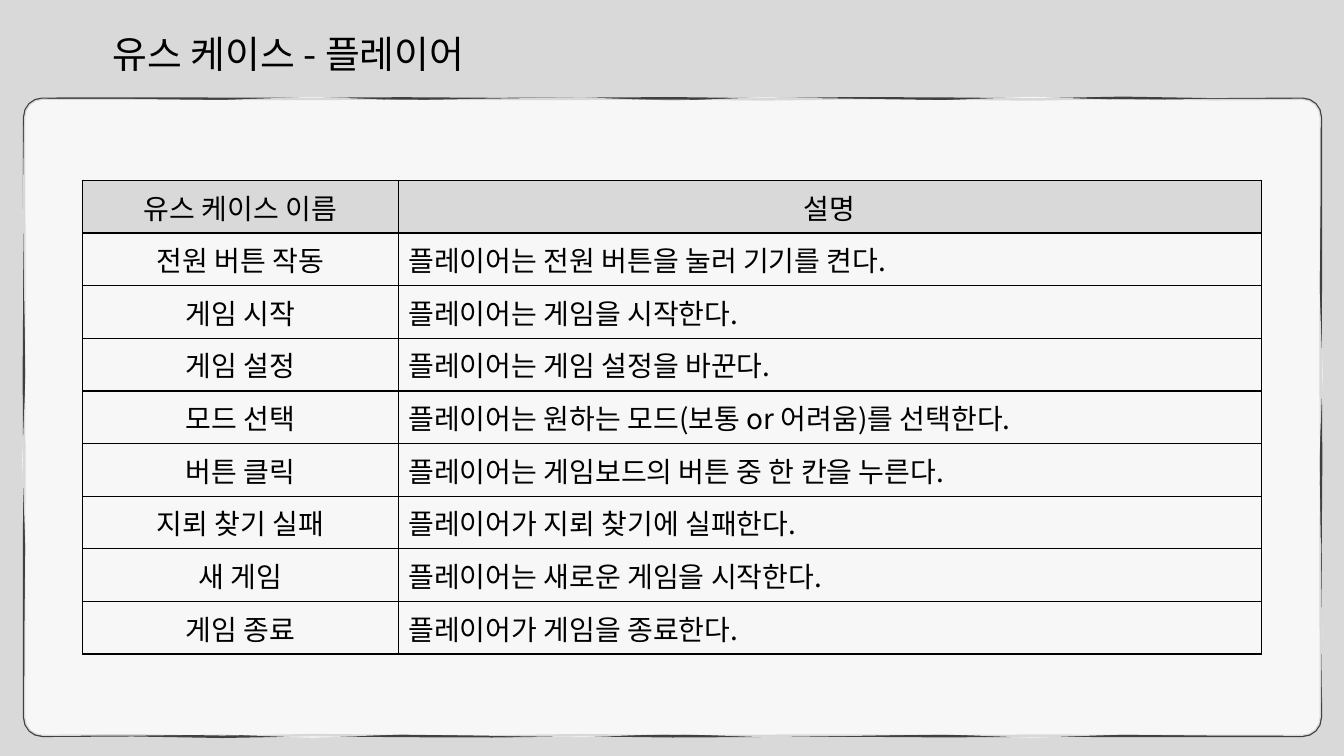
import math

from lxml import etree
from pptx import Presentation
from pptx.dml.color import RGBColor
from pptx.enum.text import MSO_ANCHOR, MSO_AUTO_SIZE, PP_ALIGN
from pptx.oxml.ns import qn
from pptx.util import Inches, Pt

CENTER = PP_ALIGN.CENTER
LEFT = PP_ALIGN.LEFT
MIDDLE = MSO_ANCHOR.MIDDLE
GROW = MSO_AUTO_SIZE.SHAPE_TO_FIT_TEXT
GRAY = RGBColor(0xD9, 0xD9, 0xD9)
DARK = RGBColor(0x40, 0x40, 0x40)
WHITE = RGBColor(0xFF, 0xFF, 0xFF)
BLACK = RGBColor(0x00, 0x00, 0x00)
FONT = "Noto Sans CJK KR"

PANEL_LEFT, PANEL_TOP, PANEL_RIGHT, PANEL_BOTTOM = 0.24, 0.98, 13.1, 7.3
CORNER_RADIUS = 0.18
CORNER_STEPS = 4
WAVE_SPACING = 0.9
WOBBLE = 0.01
COLUMN_WIDTHS = (3.13, 8.56)
ROW_HEIGHT = 4.7 / 9
USE_CASES = (
    ("유스 케이스 이름", "설명"),
    ("전원 버튼 작동", "플레이어는 전원 버튼을 눌러 기기를 켠다."),
    ("게임 시작", "플레이어는 게임을 시작한다."),
    ("게임 설정", "플레이어는 게임 설정을 바꾼다."),
    ("모드 선택", "플레이어는 원하는 모드(보통 or 어려움)를 선택한다."),
    ("버튼 클릭", "플레이어는 게임보드의 버튼 중 한 칸을 누른다."),
    ("지뢰 찾기 실패", "플레이어가 지뢰 찾기에 실패한다."),
    ("새 게임", "플레이어는 새로운 게임을 시작한다."),
    ("게임 종료", "플레이어가 게임을 종료한다."),
)


def add_run(paragraph, text, size):
    run = paragraph.add_run()
    run.text = text
    run.font.size = Pt(size)
    run.font.name = FONT
    run.font.color.rgb = BLACK
    properties = run.font._element
    properties.set("kern", "0")
    etree.SubElement(properties, qn("a:ea")).set("typeface", FONT)


def sketch_points(phase):
    left, right = PANEL_LEFT + CORNER_RADIUS, PANEL_RIGHT - CORNER_RADIUS
    top, bottom = PANEL_TOP + CORNER_RADIUS, PANEL_BOTTOM - CORNER_RADIUS
    centers = [(left, top), (right, top), (right, bottom), (left, bottom)]
    points = []
    for corner, (x, y) in enumerate(centers):
        for step in range(CORNER_STEPS + 1):
            angle = math.pi * (1 + corner / 2 + step / CORNER_STEPS / 2)
            points.append((x + CORNER_RADIUS * math.cos(angle),
                           y + CORNER_RADIUS * math.sin(angle)))
        next_x, next_y = centers[(corner + 1) % len(centers)]
        count = round(math.hypot(next_x - x, next_y - y) / WAVE_SPACING)
        for step in range(1, count):
            share = step / count
            wave = math.sin(2.3 * step + phase) + math.sin(3.9 * step + 2 * phase)
            radius = CORNER_RADIUS + WOBBLE * wave
            points.append((x + share * (next_x - x) + radius * math.cos(angle),
                           y + share * (next_y - y) + radius * math.sin(angle)))
    return points


def add_sketch(slide, phase):
    points = [(Inches(x), Inches(y)) for x, y in sketch_points(phase)]
    builder = slide.shapes.build_freeform(*points[0])
    builder.add_line_segments(points[1:], close=True)
    shape = builder.convert_to_shape()
    shape.shadow.inherit = False
    return shape


def add_panel(slide):
    outline = add_sketch(slide, 0)
    outline.fill.background()
    outline.line.color.rgb = DARK
    outline.line.width = Pt(1.75)
    surface = add_sketch(slide, 1.3)
    surface.fill.solid()
    surface.fill.fore_color.rgb = WHITE
    color = surface.fill._xPr.find(qn("a:solidFill"))[0]
    etree.SubElement(color, qn("a:alpha")).set("val", "80000")
    surface.line.fill.background()


def add_title(slide, text):
    box = slide.shapes.add_textbox(Inches(1.02), Inches(0.26), Inches(4.5), Inches(0.56))
    box.text_frame.word_wrap = True
    box.text_frame.auto_size = GROW
    add_run(box.text_frame.paragraphs[0], text, 27)


def add_borders(cell):
    properties = cell._tc.get_or_add_tcPr()
    for side in ("a:lnL", "a:lnR", "a:lnT", "a:lnB"):
        border = etree.SubElement(properties, qn(side), w=str(Pt(1)))
        fill = etree.SubElement(border, qn("a:solidFill"))
        etree.SubElement(fill, qn("a:srgbClr"), val=str(BLACK))


def fill_cell(cell, text, alignment, is_header):
    add_borders(cell)
    if is_header:
        cell.fill.solid()
        cell.fill.fore_color.rgb = GRAY
    else:
        cell.fill.background()
    cell.vertical_anchor = MIDDLE
    paragraph = cell.text_frame.paragraphs[0]
    paragraph.alignment = alignment
    add_run(paragraph, text, 20)


def add_use_case_table(slide):
    frame = slide.shapes.add_table(
        len(USE_CASES), len(COLUMN_WIDTHS), Inches(0.82), Inches(1.79),
        Inches(sum(COLUMN_WIDTHS)), Inches(ROW_HEIGHT * len(USE_CASES)))
    table = frame.table
    table.first_row = False
    table.horz_banding = False
    for column, width in zip(table.columns, COLUMN_WIDTHS):
        column.width = Inches(width)
    for row_index, texts in enumerate(USE_CASES):
        table.rows[row_index].height = Inches(ROW_HEIGHT)
        is_header = row_index == 0
        for column_index, text in enumerate(texts):
            alignment = CENTER if is_header or column_index == 0 else LEFT
            fill_cell(table.cell(row_index, column_index), text, alignment, is_header)


def main():
    presentation = Presentation()
    presentation.slide_width = Inches(13.33)
    presentation.slide_height = Inches(7.5)
    slide = presentation.slides.add_slide(presentation.slide_layouts[6])
    slide.background.fill.solid()
    slide.background.fill.fore_color.rgb = GRAY
    add_panel(slide)
    add_title(slide, "유스 케이스 - 플레이어")
    add_use_case_table(slide)
    presentation.save("out.pptx")


if __name__ == "__main__":
    main()
